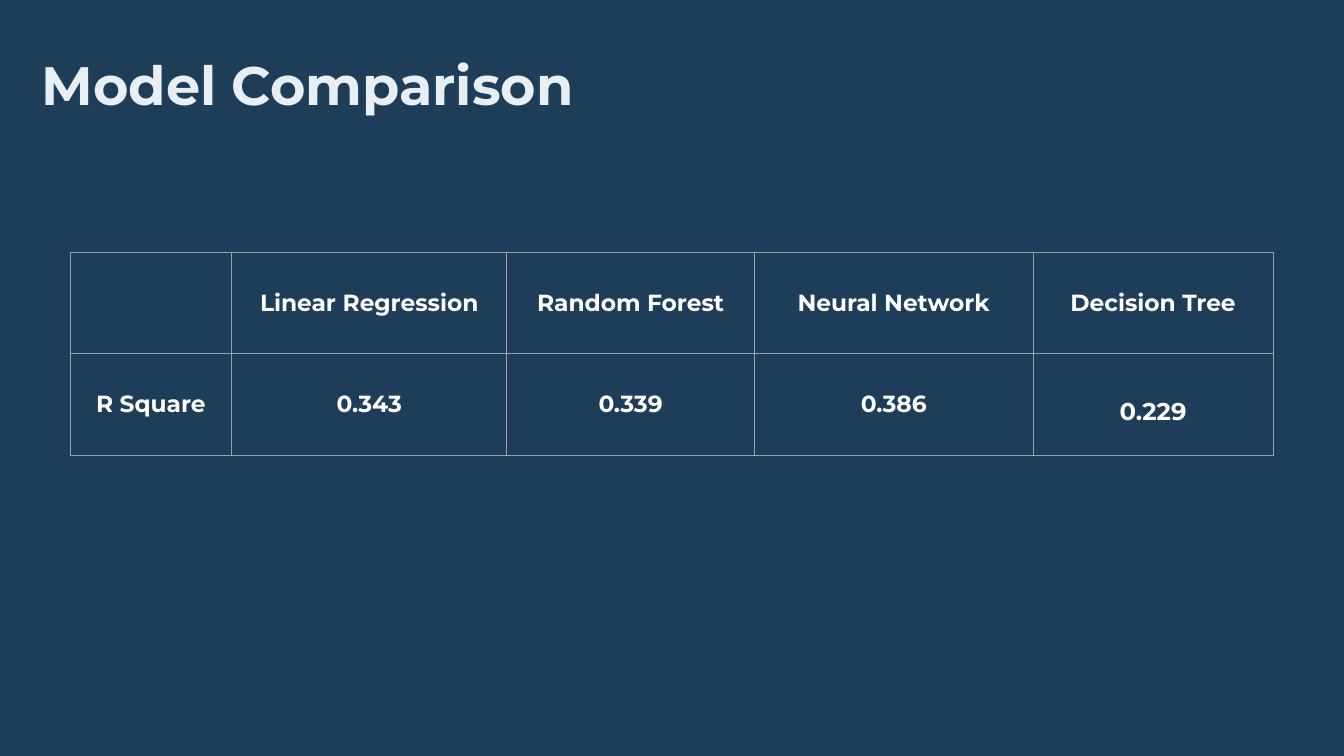
from dataclasses import dataclass

from lxml.etree import SubElement
from pptx import Presentation
from pptx.dml.color import RGBColor
from pptx.enum.text import MSO_ANCHOR, MSO_AUTO_SIZE, PP_ALIGN
from pptx.oxml.ns import qn
from pptx.slide import Slide
from pptx.table import _Cell
from pptx.util import Cm, Pt


@dataclass(frozen=True)
class Theme:
    font: str = "Montserrat"
    background: RGBColor = RGBColor(0x1E, 0x3D, 0x58)
    title: RGBColor = RGBColor(0xE8, 0xEE, 0xF1)
    text: RGBColor = RGBColor(0xFF, 0xFF, 0xFF)
    border: str = "9E9E9E"
    border_width: Pt = Pt(0.75)
    title_size: Pt = Pt(58)
    cell_size: Pt = Pt(25)
    last_score_size: Pt = Pt(26)


@dataclass(frozen=True)
class Column:
    width: Cm
    model: str
    r_square: str
    size: Pt = Theme.cell_size
    line_spacing: float = 1.0


THEME = Theme()
ROW_HEIGHT = Cm(3.84)
CELL_MARGIN = Cm(0.25)
COLUMNS = [
    Column(Cm(6.12), "", "R Square"),
    Column(Cm(10.39), "Linear Regression", "0.343"),
    Column(Cm(9.37), "Random Forest", "0.339"),
    Column(Cm(10.52), "Neural Network", "0.386"),
    Column(Cm(9.09), "Decision Tree", "0.229", THEME.last_score_size, 1.5),
]


def style_paragraph(p, size: Pt, color: RGBColor, align: PP_ALIGN, line_spacing: float) -> None:
    p.alignment = align
    p.line_spacing = line_spacing
    p.font.name = THEME.font
    p.font.size = size
    p.font.bold = True
    p.font.color.rgb = color


def add_title(slide: Slide, text: str) -> None:
    sp = slide.shapes.title
    sp.left, sp.top, sp.width, sp.height = Cm(1.57), Cm(1.3), Cm(34.57), Cm(2.49)
    tf = sp.text_frame
    tf.text = text
    tf.word_wrap = True
    tf.auto_size = MSO_AUTO_SIZE.SHAPE_TO_FIT_TEXT
    tf.vertical_anchor = MSO_ANCHOR.TOP
    tf.margin_left = tf.margin_right = tf.margin_top = tf.margin_bottom = 0
    style_paragraph(tf.paragraphs[0], THEME.title_size, THEME.title, PP_ALIGN.LEFT, 1.26)


def set_borders(cell: _Cell) -> None:
    """Line all four sides; call before the fill, which must follow the lines in the XML."""
    tc_pr = cell._tc.get_or_add_tcPr()
    for side in ("a:lnL", "a:lnR", "a:lnT", "a:lnB"):
        ln = SubElement(tc_pr, qn(side), w=str(int(THEME.border_width)))
        fill = SubElement(ln, qn("a:solidFill"))
        SubElement(fill, qn("a:srgbClr"), val=THEME.border)


def fill_cell(cell: _Cell, text: str, size: Pt, line_spacing: float) -> None:
    set_borders(cell)
    cell.fill.background()
    cell.vertical_anchor = MSO_ANCHOR.MIDDLE
    cell.margin_left = cell.margin_right = CELL_MARGIN
    cell.margin_top = cell.margin_bottom = CELL_MARGIN
    cell.text = text
    p = cell.text_frame.paragraphs[0]
    style_paragraph(p, size, THEME.text, PP_ALIGN.CENTER, line_spacing)


def add_model_table(slide: Slide, columns: list[Column]) -> None:
    width = sum(column.width for column in columns)
    frame = slide.shapes.add_table(2, len(columns), Cm(2.64), Cm(9.53), width, 2 * ROW_HEIGHT)
    table = frame.table
    table.first_row = table.horz_banding = False
    for row in table.rows:
        row.height = ROW_HEIGHT
    for i, column in enumerate(columns):
        table.columns[i].width = column.width
        fill_cell(table.cell(0, i), column.model, THEME.cell_size, 1.0)
        fill_cell(table.cell(1, i), column.r_square, column.size, column.line_spacing)


def main() -> None:
    prs = Presentation()
    prs.slide_width, prs.slide_height = Cm(50.8), Cm(28.58)
    slide = prs.slides.add_slide(prs.slide_layouts.get_by_name("Title Only"))
    slide.background.fill.solid()
    slide.background.fill.fore_color.rgb = THEME.background
    add_title(slide, "Model Comparison")
    add_model_table(slide, COLUMNS)
    prs.save("out.pptx")


if __name__ == "__main__":
    main()
